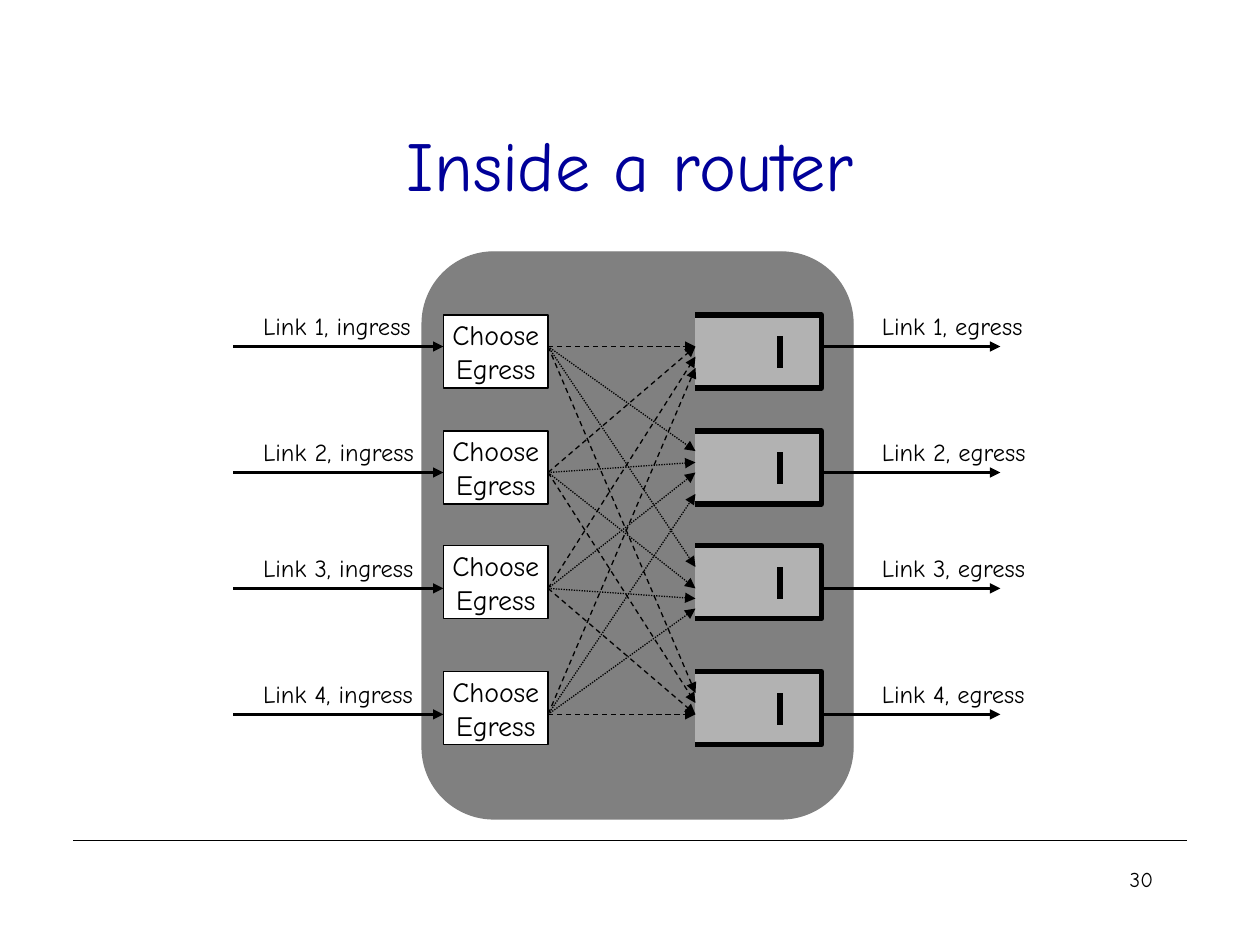
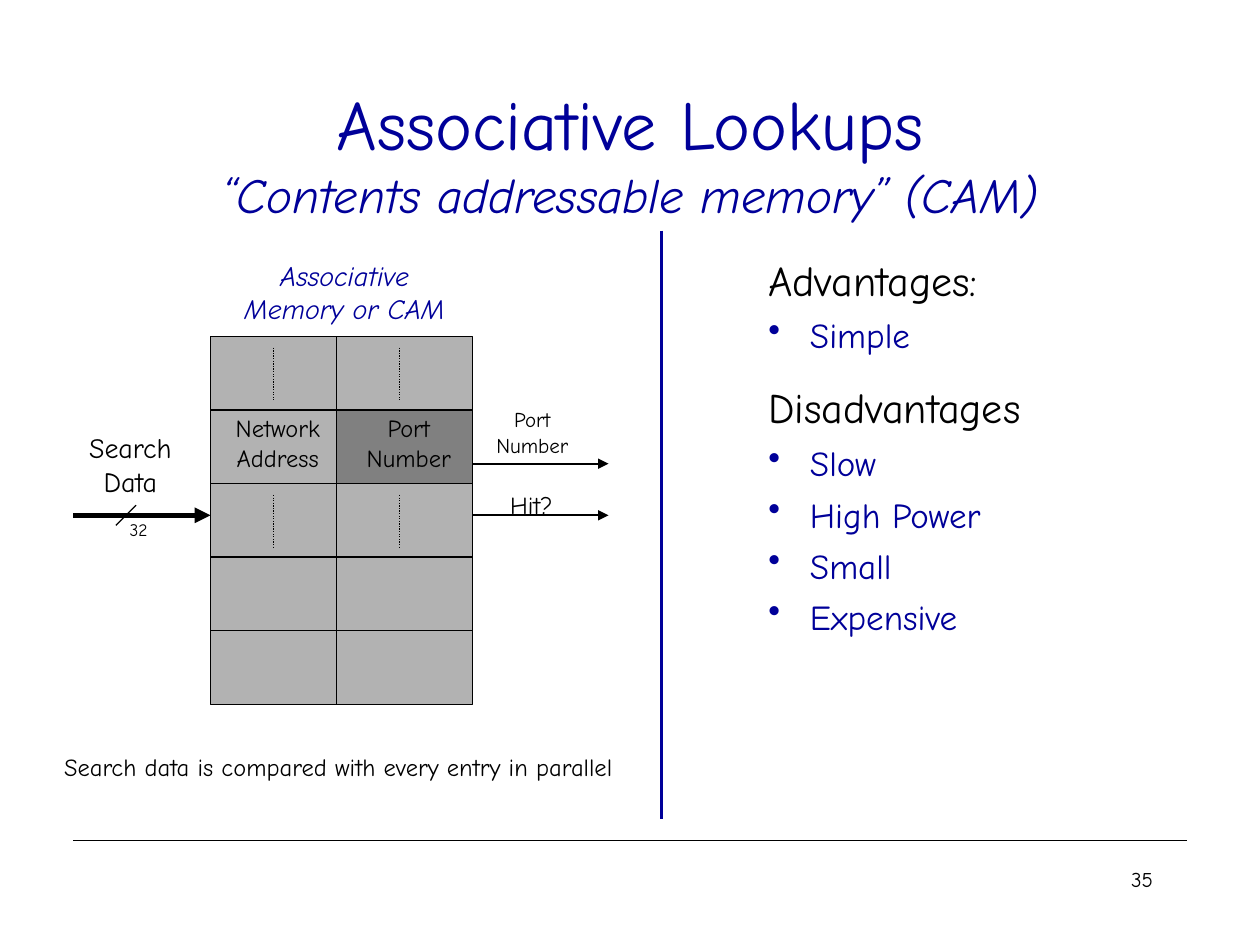
from lxml import etree
from pptx import Presentation
from pptx.dml.color import RGBColor
from pptx.enum.dml import MSO_LINE
from pptx.enum.shapes import MSO_CONNECTOR, MSO_SHAPE
from pptx.enum.text import MSO_ANCHOR, MSO_AUTO_SIZE, PP_ALIGN
from pptx.oxml.ns import qn
from pptx.util import Inches, Pt

FONT = "Comic Neue"
BLACK = RGBColor(0x00, 0x00, 0x00)
WHITE = RGBColor(0xFF, 0xFF, 0xFF)
NAVY = RGBColor(0x00, 0x00, 0x99)
DARK_GRAY = RGBColor(0x80, 0x80, 0x80)
LIGHT_GRAY = RGBColor(0xB2, 0xB2, 0xB2)

LEFT, CENTER, RIGHT = PP_ALIGN.LEFT, PP_ALIGN.CENTER, PP_ALIGN.RIGHT
MIDDLE = MSO_ANCHOR.MIDDLE
NO_AUTOFIT = MSO_AUTO_SIZE.NONE
DASH, DOT = MSO_LINE.DASH, MSO_LINE.ROUND_DOT
STRAIGHT = MSO_CONNECTOR.STRAIGHT
RECTANGLE, ROUNDED = MSO_SHAPE.RECTANGLE, MSO_SHAPE.ROUNDED_RECTANGLE

TITLE_ONLY = 5
BULLET_INDENT = Inches(0.33)


class Deck:
    """Holds the presentation, its style and the slide being filled."""

    def __init__(self):
        self.presentation = Presentation()
        self.presentation.slide_width = Inches(10)
        self.presentation.slide_height = Inches(7.5)
        self.slide = None

    def new_slide(self, number, title_top, title, subtitle=None):
        layout = self.presentation.slide_layouts[TITLE_ONLY]
        self.slide = self.presentation.slides.add_slide(layout)
        self.line((0.58, 6.67), (9.42, 6.67))
        self.text(7.17, 6.83, 2.08, 0.5, [number], 12, RIGHT, wrap=True)

        heading = self.slide.shapes.title
        heading.left, heading.top = Inches(0.75), Inches(title_top)
        heading.width, heading.height = Inches(8.5), Inches(1.25)
        frame = heading.text_frame
        frame.auto_size = NO_AUTOFIT
        frame.vertical_anchor = MIDDLE
        paragraph = frame.paragraphs[0]
        paragraph.alignment = CENTER
        self.run(paragraph, title, 40, NAVY)
        if subtitle:
            paragraph.add_line_break()
            self.run(paragraph, subtitle, 28, NAVY, italic=True)

    def run(self, paragraph, words, size, color=BLACK, italic=False):
        run = paragraph.add_run()
        run.text = words
        run.font.name = FONT
        run.font.size = Pt(size)
        run.font.italic = italic
        run.font.color.rgb = color

    def fill_lines(self, frame, lines, size, align, color=BLACK, italic=False):
        """Write each line as a paragraph of its own."""
        for index, words in enumerate(lines):
            paragraph = frame.add_paragraph() if index else frame.paragraphs[0]
            paragraph.alignment = align
            self.run(paragraph, words, size, color, italic)

    def text(self, left, top, width, height, lines, size, align=LEFT,
             color=BLACK, italic=False, wrap=False):
        box = self.slide.shapes.add_textbox(
            Inches(left), Inches(top), Inches(width), Inches(height))
        box.text_frame.word_wrap = wrap
        self.fill_lines(box.text_frame, lines, size, align, color, italic)
        return box.text_frame

    def paint(self, shape, fill, outline, weight):
        shape.shadow.inherit = False
        shape.fill.solid()
        shape.fill.fore_color.rgb = fill
        shape.line.color.rgb = outline
        shape.line.width = Pt(weight)

    def block(self, left, top, width, height, fill, outline=BLACK,
              kind=RECTANGLE, lines=(), size=16):
        shape = self.slide.shapes.add_shape(
            kind, Inches(left), Inches(top), Inches(width), Inches(height))
        self.paint(shape, fill, outline, 0.75)
        shape.text_frame.word_wrap = False
        shape.text_frame.vertical_anchor = MIDDLE
        self.fill_lines(shape.text_frame, lines, size, CENTER)

    def open_box(self, left, top, width, height):
        """A filled box whose left side has no outline."""
        right, bottom = Inches(left + width), Inches(top + height)
        builder = self.slide.shapes.build_freeform(Inches(left), Inches(top))
        builder.add_line_segments(
            [(right, Inches(top)), (right, bottom), (Inches(left), bottom)],
            close=False)
        self.paint(builder.convert_to_shape(), LIGHT_GRAY, BLACK, 3)

    def line(self, start, end, weight=0.75, color=BLACK, dash=None, arrow=False):
        connector = self.slide.shapes.add_connector(
            STRAIGHT, *(Inches(value) for value in (*start, *end)))
        connector.line.color.rgb = color
        connector.line.width = Pt(weight)
        if dash:
            connector.line.dash_style = dash
        properties = connector._element.spPr
        if arrow:
            etree.SubElement(properties.find(qn("a:ln")), qn("a:tailEnd"),
                             type="triangle")
        etree.SubElement(properties, qn("a:effectLst"))

    def bullet(self, paragraph, color):
        properties = paragraph._p.get_or_add_pPr()
        properties.set("marL", str(BULLET_INDENT))
        properties.set("indent", str(-BULLET_INDENT))
        bullet_color = etree.SubElement(properties, qn("a:buClr"))
        etree.SubElement(bullet_color, qn("a:srgbClr"), val=str(color))
        etree.SubElement(properties, qn("a:buChar"), char="•")

    def outline(self, left, top, width, height, items):
        """Items are (words, is bullet, line spacing)."""
        frame = self.text(left, top, width, height, [], 24, wrap=True)
        for index, (words, bulleted, spacing) in enumerate(items):
            paragraph = frame.add_paragraph() if index else frame.paragraphs[0]
            paragraph.line_spacing = spacing
            if index:
                paragraph.space_before = Pt(12.5 if bulleted else 15)
            if bulleted:
                self.bullet(paragraph, NAVY)
            self.run(paragraph, words, 20 if bulleted else 24,
                     NAVY if bulleted else BLACK)


def router_slide(deck):
    deck.new_slide("30", 0.67, "Inside a router")
    deck.block(3.35, 2, 3.42, 4.5, DARK_GRAY, DARK_GRAY, ROUNDED)

    link_ys = [2.75, 3.75, 4.67, 5.67]
    stage_tops = [2.5, 3.42, 4.33, 5.33]
    chooser_left, chooser_width, stage_height = 3.52, 0.83, 0.58
    chooser_right = chooser_left + chooser_width
    queue_left, mark_x = 5.52, 6.19

    for number, y in enumerate(link_ys, 1):
        for start_x, label_x, direction in (
                (1.85, 1.99, "ingress"), (6.27, 6.9, "egress")):
            deck.line((start_x, y), (start_x + 1.67, y), 1.5, arrow=True)
            deck.text(label_x, y - 0.33, 1.5, 0.34,
                      [f"Link {number}, {direction}"], 14)

    for top in stage_tops:
        deck.open_box(queue_left, top, 1, stage_height)
        deck.line((mark_x, top + 0.17), (mark_x, top + 0.42), 3)

    # One row per queue: where the path from each chooser arrives
    arrivals = [
        (DASH, [2.75, 2.75, 2.83, 2.92]),
        (DOT, [3.58, 3.67, 3.75, 3.92]),
        (DOT, [4.5, 4.67, 4.75, 4.83]),
        (DASH, [5.5, 5.58, 5.67, 5.67]),
    ]
    for dash, arrival_ys in arrivals:
        for link_y, arrival_y in zip(link_ys, arrival_ys):
            deck.line((chooser_right, link_y), (queue_left, arrival_y),
                      dash=dash, arrow=True)

    for top in stage_tops:
        deck.block(chooser_left, top, chooser_width, stage_height, WHITE,
                   lines=["Choose", "Egress"])


def lookup_slide(deck):
    deck.new_slide("35", 0.58, "Associative Lookups",
                   "“Contents addressable memory” (CAM)")

    left, middle, right = 1.67, 2.67, 3.75
    top, height, rows = 2.67, 2.92, 5
    row_height = height / rows
    deck.block(left, top, right - left, height, LIGHT_GRAY)
    deck.block(middle, top + row_height, right - middle, row_height, DARK_GRAY)
    deck.line((middle, top), (middle, top + height))
    for row in range(1, rows):
        y = top + row * row_height
        deck.line((left, y), (right, y))
    for row in (0, 2):
        y = top + row * row_height + 0.09
        for x in (2.17, 3.17):
            deck.line((x, y), (x, y + 0.41), dash=DOT)

    deck.text(1.77, 3.23, 0.87, 0.57, ["Network", "Address"], 14, CENTER)
    deck.text(2.81, 3.23, 0.87, 0.57, ["Port", "Number"], 14, CENTER)
    deck.text(1.84, 2, 1.79, 0.64, ["Associative", "Memory or CAM"], 16,
              CENTER, NAVY, italic=True)

    port_y, hit_y = 3.68, 4.09
    deck.line((0.58, hit_y), (left, hit_y), 3, arrow=True)
    deck.text(0.57, 3.37, 0.93, 0.64, ["Search", "Data"], 16, CENTER)
    deck.line((0.92, 4.17), (1.08, 4.01))
    deck.text(0.93, 4.07, 0.34, 0.27, ["32"], 10)
    for y in (port_y, hit_y):
        deck.line((right, y), (4.83, y), 1, arrow=True)
    deck.text(3.84, 3.18, 0.77, 0.5, ["Port", "Number"], 12, CENTER)
    deck.text(3.95, 3.84, 0.54, 0.34, ["Hit?"], 14)
    deck.text(0.41, 5.92, 4.58, 0.34,
              ["Search data is compared with every entry in parallel"], 14)

    deck.line((5.25, 1.83), (5.25, 6.5), 1.5, NAVY)
    drawbacks = ["Slow", "High Power", "Small", "Expensive"]
    deck.outline(6, 2.08, 2.5, 3.03, [
        ("Advantages:", False, 0.7),
        ("Simple", True, 0.7),
        ("Disadvantages", False, 1.0),
        *((drawback, True, 0.7) for drawback in drawbacks),
    ])


def main():
    deck = Deck()
    router_slide(deck)
    lookup_slide(deck)
    deck.presentation.save("out.pptx")


if __name__ == "__main__":
    main()
